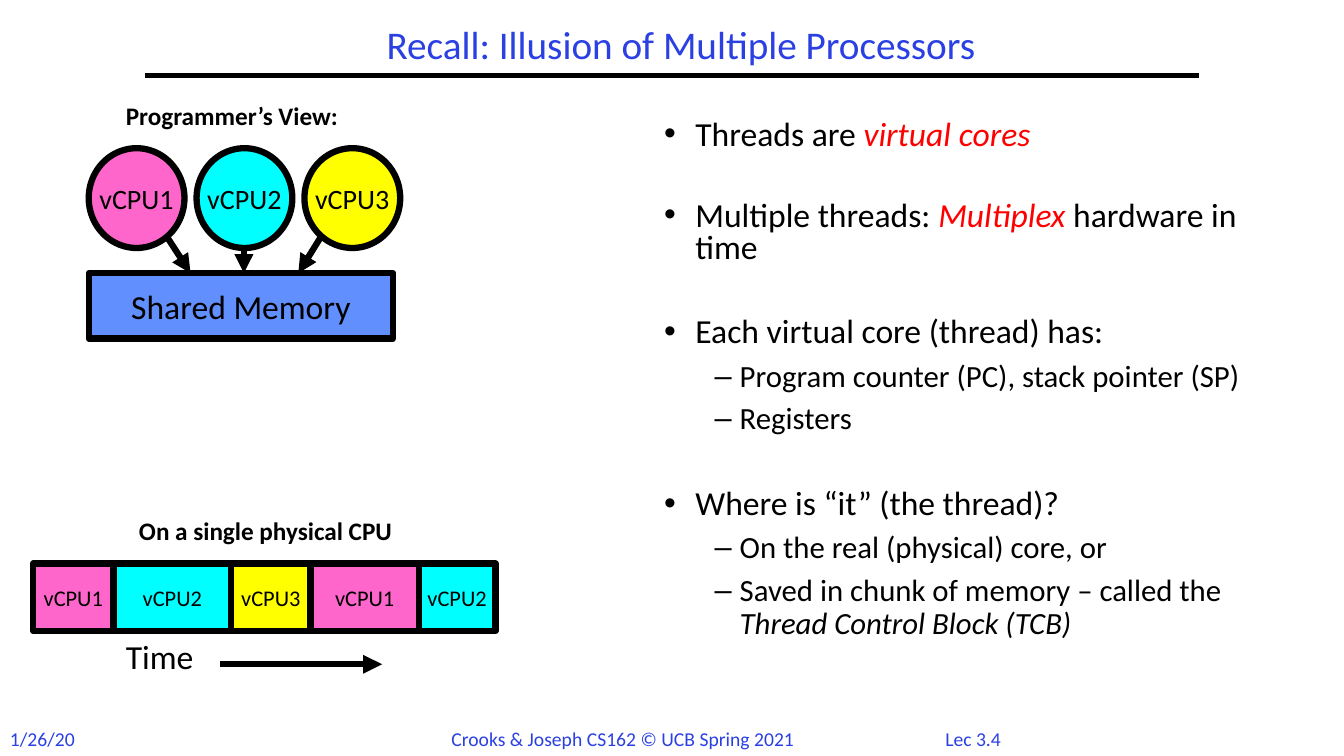
from lxml import etree
from pptx import Presentation, util as u
from pptx.dml.color import RGBColor
from pptx.enum import shapes, text
from pptx.oxml.ns import qn

# The grid has ten columns and ten rows to the inch.
CELL = u.Inches(0.1)
COLUMNS, ROWS = 133.33, 75
FONT = "Calibri"
THICK = 4.5

BLACK = RGBColor(0x00, 0x00, 0x00)
BLUE = RGBColor(0x2A, 0x40, 0xE2)
RED = RGBColor(0xFF, 0x00, 0x00)
PINK = RGBColor(0xFF, 0x66, 0xCC)
CYAN = RGBColor(0x00, 0xFF, 0xFF)
YELLOW = RGBColor(0xFF, 0xFF, 0x00)
MEMORY_BLUE = RGBColor(0x61, 0x8F, 0xFD)

VCPUS = [("vCPU1", PINK), ("vCPU2", CYAN), ("vCPU3", YELLOW)]
SLICE_WIDTHS = [7.95, 11.7, 7.85, 10.75, 7.6]

PLAIN, KEY, TERM = (BLACK, False), (RED, True), (BLACK, True)
# Level, space before, line spacing, runs
BULLETS = [
    (0, 0, 0.8, [("Threads are ", PLAIN), ("virtual cores", KEY)]),
    (0, 34.5, 0.8, [("Multiple threads: ", PLAIN), ("Multiplex", KEY),
                    (" hardware in time", PLAIN)]),
    (0, 35, 0.9, [("Each virtual core (thread) has:", PLAIN)]),
    (1, 7, 0.9, [("Program counter (PC), stack pointer (SP)", PLAIN)]),
    (1, 6.5, 0.9, [("Registers", PLAIN)]),
    (0, 35.5, 0.9, [("Where is “it” (the thread)?", PLAIN)]),
    (1, 7, 0.9, [("On the real (physical) core, or", PLAIN)]),
    (1, 6.5, 0.9, [("Saved in chunk of memory – called the ", PLAIN),
                   ("Thread Control Block (TCB)", TERM)]),
]
# Bullet sign, left margin, indent and text size of each level
LEVELS = [("•", 0.31, -0.31, 24), ("–", 0.75, -0.25, 22)]


def cells(*counts):
    return [round(count * CELL) for count in counts]


def set_font(font, size, color, bold=False):
    font.name, font.size, font.bold = FONT, u.Pt(size), bold
    font.color.rgb = color


def add_label(slide, box, words, size, color=BLACK, bold=False,
              align=text.PP_ALIGN.LEFT, anchor=text.MSO_ANCHOR.TOP):
    frame = slide.shapes.add_textbox(*cells(*box)).text_frame
    frame.word_wrap = True
    frame.vertical_anchor = anchor
    paragraph = frame.paragraphs[0]
    paragraph.text = words
    paragraph.alignment = align
    set_font(paragraph.font, size, color, bold)
    return paragraph


def add_block(slide, kind, box, words, size, fill):
    """Add a filled shape with a thick outline and centred words."""
    shape = slide.shapes.add_shape(kind, *cells(*box))
    shape.shadow.inherit = False
    shape.fill.solid()
    shape.fill.fore_color.rgb = fill
    shape.line.color.rgb = BLACK
    shape.line.width = u.Pt(THICK)
    frame = shape.text_frame
    frame.word_wrap = False
    frame.vertical_anchor = text.MSO_ANCHOR.MIDDLE
    paragraph = frame.paragraphs[0]
    paragraph.text = words
    paragraph.alignment = text.PP_ALIGN.CENTER
    set_font(paragraph.font, size, BLACK)


def add_line(slide, ends, width=THICK, arrow=True):
    line = slide.shapes.add_connector(shapes.MSO_CONNECTOR.STRAIGHT,
                                      *cells(*ends))
    line.line.color.rgb = BLACK
    line.line.width = u.Pt(width)
    properties = line._element.spPr
    if arrow:
        outline = properties.find(qn("a:ln"))
        etree.SubElement(outline, qn("a:tailEnd"), type="triangle")
    etree.SubElement(properties, qn("a:effectLst"))


def set_bullet(paragraph, sign, margin, indent):
    properties = paragraph._p.get_or_add_pPr()
    properties.set("marL", str(u.Inches(margin)))
    properties.set("indent", str(u.Inches(indent)))
    etree.SubElement(properties, qn("a:buFont"), typeface="Arial")
    etree.SubElement(properties, qn("a:buChar"), char=sign)


def add_bullets(slide, box):
    frame = slide.shapes.add_textbox(*cells(*box)).text_frame
    frame.word_wrap = True
    for index, (level, before, spacing, runs) in enumerate(BULLETS):
        paragraph = frame.add_paragraph() if index else frame.paragraphs[0]
        sign, margin, indent, size = LEVELS[level]
        paragraph.level = level
        set_bullet(paragraph, sign, margin, indent)
        paragraph.line_spacing = spacing
        paragraph.space_before = u.Pt(before)
        set_font(paragraph.font, size, BLACK)
        for words, (color, italic) in runs:
            run = paragraph.add_run()
            run.text = words
            run.font.color.rgb = color
            run.font.italic = italic


def add_frame(slide):
    """Add the title, its rule and the footer."""
    title = add_label(slide, (19.2, 1.7, 96.7, 5.8),
                      "Recall: Illusion of Multiple Processors", 28, BLUE,
                      align=text.PP_ALIGN.CENTER,
                      anchor=text.MSO_ANCHOR.MIDDLE)
    title.line_spacing = 0.9
    add_line(slide, (14.4, 7.5, 118.9, 7.5), width=3, arrow=False)
    for left, width, words in [
            (0, 10, "1/26/20"),
            (43.8, 38, "Crooks & Joseph CS162 © UCB Spring 2021"),
            (92.8, 9.7, "Lec 3.4")]:
        add_label(slide, (left, 71.6, width, 3.4), words, 14, BLUE)


def add_programmer_view(slide):
    add_label(slide, (11.5, 9.5, 26.4, 4), "Programmer’s View:", 18, bold=True)
    for index, (name, color) in enumerate(VCPUS):
        add_block(slide, shapes.MSO_SHAPE.OVAL,
                  (8.8 + 10.7 * index, 14.7, 9.5, 9.9), name, 20, color)
    add_block(slide, shapes.MSO_SHAPE.RECTANGLE, (8.8, 27.1, 30.2, 6.5),
              "Shared Memory", 24, MEMORY_BLUE)
    for start, top, end in [(16.5, 23.4, 18.9), (24.2, 24.6, 24.2),
                            (31.9, 23.4, 29.6)]:
        add_line(slide, (start, top, end, 27.1))


def add_timeline(slide):
    add_label(slide, (9.7, 50.6, 33.3, 4), "On a single physical CPU", 18,
              bold=True, align=text.PP_ALIGN.CENTER)
    left = 3.3
    for index, width in enumerate(SLICE_WIDTHS):
        name, color = VCPUS[index % len(VCPUS)]
        add_block(slide, shapes.MSO_SHAPE.RECTANGLE, (left, 55.9, width, 6.7),
                  name, 16, color)
        left += width
    add_label(slide, (11.5, 62.6, 10.3, 5.1), "Time", 24)
    add_line(slide, (21.8, 65.9, 37.9, 65.9))


def main():
    presentation = Presentation()
    presentation.slide_width, presentation.slide_height = cells(COLUMNS, ROWS)
    slide = presentation.slides.add_slide(presentation.slide_layouts[6])
    add_frame(slide)
    add_bullets(slide, (64.9, 11.5, 61.2, 58.3))
    add_programmer_view(slide)
    add_timeline(slide)
    presentation.save("out.pptx")


if __name__ == "__main__":
    main()
